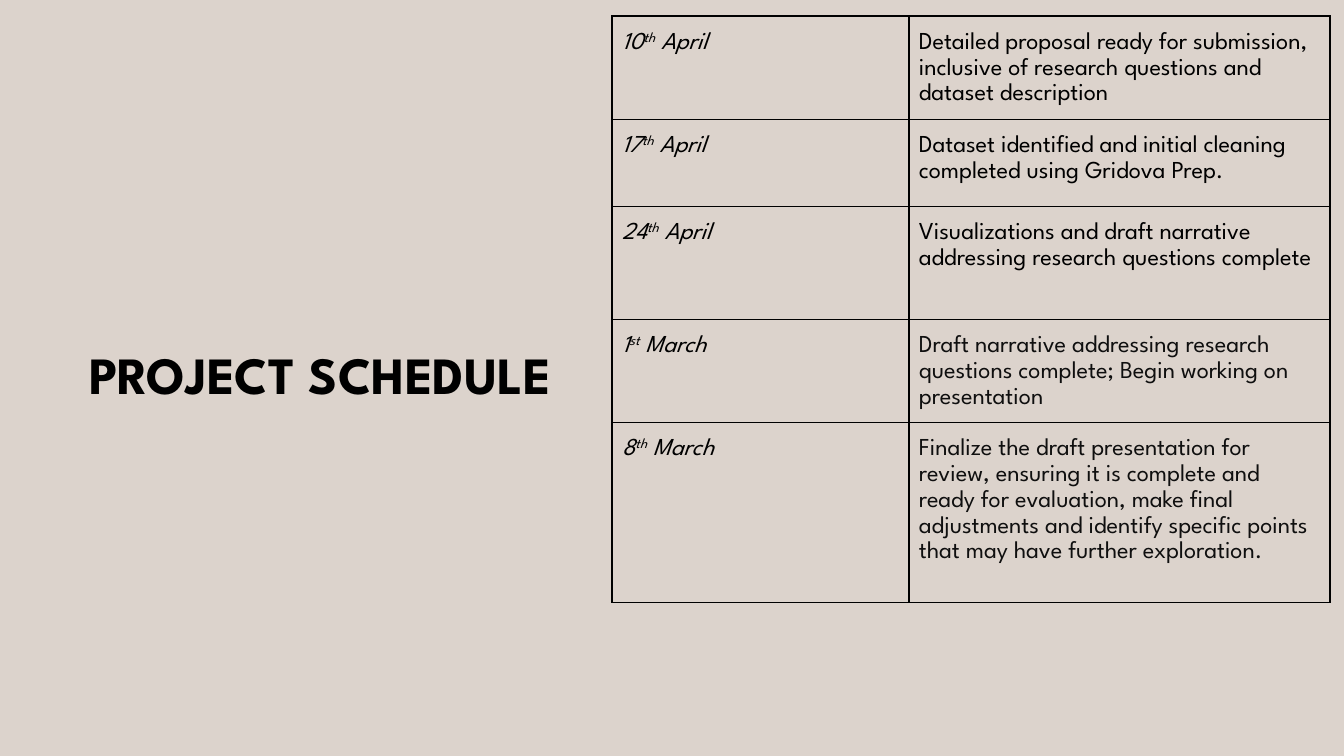
from dataclasses import dataclass
from lxml.etree import SubElement as Sub
from pptx import Presentation
from pptx.dml.color import RGBColor as RGB
from pptx.enum.text import MSO_ANCHOR as Anchor, MSO_AUTO_SIZE as Fit, PP_ALIGN as Align
from pptx.oxml.ns import qn
from pptx.util import Emu, Pt

# Content: day, ordinal, month, task
TITLE = "PROJECT SCHEDULE"
DATES = [
    ("10", "th", " April", "Detailed proposal ready for submission, inclusive of "
     "research questions and dataset description"),
    ("17", "th", " April", "Dataset identified and initial cleaning completed "
     "using Gridova Prep."),
    ("24", "th", " April", "Visualizations and draft narrative addressing "
     "research questions complete"),
    ("1", "st", " March", "Draft narrative addressing research questions "
     "complete; Begin working on presentation"),
    ("8", "th", " March", "Finalize the draft presentation for review, ensuring it "
     "is complete and ready for evaluation, make final adjustments and identify "
     "specific points that may have further exploration."),
]


@dataclass(frozen=True)
class Theme:
    back: str = "DCD3CC"
    ink: str = "000000"
    soft: str = "0F0F0F"
    font: str = "League Spartan"
    head: float = 28
    body: float = 13
    rule: float = 0.75


theme = Theme()

# Layout in px
SIZE = (1344, 756)
HEAD = (48, 194, 544, 368)
GRID = (612, 16)
COLS = (297, 421)
ROWS = (87, 87, 113, 74, 180)
PAD_X, PAD_Y = 10, 13
SOFT_FROM = 3  # first row whose task is in the softer ink


def px(n):
    return Emu(round(n * 914400 / 134.4))


def style(run, size, color, bold=False, italic=False):
    font = run.font
    font.name, font.size = theme.font, Pt(size)
    font.bold, font.italic = bold, italic
    font.color.rgb = RGB.from_string(color)


def pad(box, x, y):
    box.margin_left = box.margin_right = px(x)
    box.margin_top = box.margin_bottom = px(y)


def border(cell):
    props = cell._tc.get_or_add_tcPr()
    for side in ("lnL", "lnR", "lnT", "lnB"):
        line = Sub(props, qn(f"a:{side}"), w=str(Pt(theme.rule)))
        Sub(Sub(line, qn("a:solidFill")), qn("a:srgbClr"), val=theme.ink)


def write(cell, parts, color, italic=False):
    pad(cell, PAD_X, PAD_Y)
    border(cell)
    cell.fill.background()
    para = cell.text_frame.paragraphs[0]
    para.line_spacing = 1.15
    for part in parts:
        run = para.add_run()
        run.text = part
        style(run, theme.body, color, italic=italic)
    return para.runs


def add_title(slide):
    title = slide.shapes.title
    title.left, title.top, title.width, title.height = map(px, HEAD)
    frame = title.text_frame
    frame.text = TITLE
    frame.word_wrap, frame.auto_size = True, Fit.NONE
    frame.vertical_anchor = Anchor.MIDDLE
    pad(frame, PAD_Y, PAD_Y)
    para = frame.paragraphs[0]
    para.alignment, para.line_spacing = Align.CENTER, 0.9
    style(para.runs[0], theme.head, theme.ink, bold=True)


def add_dates(slide):
    box = map(px, (*GRID, sum(COLS), sum(ROWS)))
    table = slide.shapes.add_table(len(ROWS), len(COLS), *box).table
    table.first_row = table.horz_banding = False
    for col, width in zip(table.columns, COLS):
        col.width = px(width)
    for i, (height, (*date, task)) in enumerate(zip(ROWS, DATES)):
        table.rows[i].height = px(height)
        runs = write(table.cell(i, 0), date, theme.ink, italic=True)
        runs[1]._r.get_or_add_rPr().set("baseline", "30000")  # raised ordinal
        write(table.cell(i, 1), [task], theme.soft if i >= SOFT_FROM else theme.ink)


def main():
    deck = Presentation()
    deck.slide_width, deck.slide_height = map(px, SIZE)
    slide = deck.slides.add_slide(deck.slide_layouts[5])
    fill = slide.background.fill
    fill.solid()
    fill.fore_color.rgb = RGB.from_string(theme.back)
    add_title(slide)
    add_dates(slide)
    deck.save("out.pptx")


if __name__ == "__main__":
    main()
